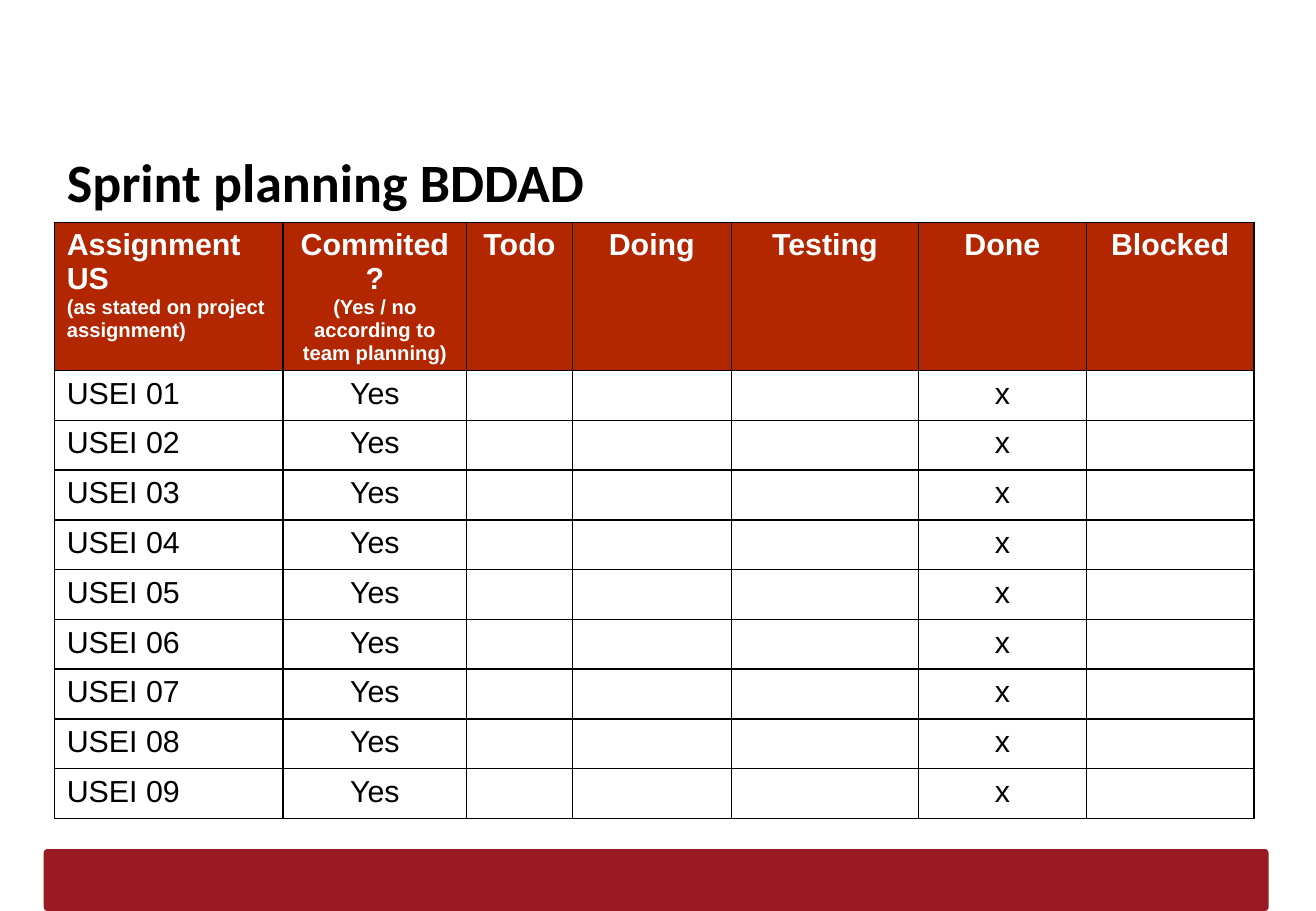
from lxml import etree
from pptx import Presentation
from pptx.dml.color import RGBColor
from pptx.enum.shapes import MSO_SHAPE
from pptx.enum.text import MSO_ANCHOR, MSO_AUTO_SIZE, PP_ALIGN
from pptx.oxml.ns import qn
from pptx.util import Inches, Pt

LEFT, CENTER = PP_ALIGN.LEFT, PP_ALIGN.CENTER
TOP = MSO_ANCHOR.TOP
NO_FIT = MSO_AUTO_SIZE.NONE
ROUNDED = MSO_SHAPE.ROUNDED_RECTANGLE

COLORS = {"header": "B22600", "bar": "9A1A24", "white": "FFFFFF", "black": "000000"}

COL_WIDTHS = [1.88, 1.51, 0.87, 1.31, 1.54, 1.38, 1.38]
ROW_HEIGHT = 0.41
HEADERS = [
    ["Assignment US", "(as stated on project assignment)"],
    ["Commited?", "(Yes / no according to team planning)"],
    ["Todo"], ["Doing"], ["Testing"], ["Done"], ["Blocked"],
]
STORIES = [[f"USEI {n:02d}", "Yes", "", "", "", "x", ""] for n in range(1, 10)]


def rgb(name):
    return RGBColor.from_string(COLORS[name])


def fill(obj, name):
    obj.fill.solid()
    obj.fill.fore_color.rgb = rgb(name)


def write(p, text, color, align=LEFT, **font):
    p.alignment = align
    r = p.add_run()
    r.text = text
    r.font.color.rgb = rgb(color)
    for name, value in font.items():
        setattr(r.font, name, value)


def add_border(cell):
    tc_pr = cell._tc.get_or_add_tcPr()
    for i, side in enumerate(("lnL", "lnR", "lnT", "lnB")):
        ln = etree.Element(qn(f"a:{side}"), w=str(Pt(1)))
        solid = etree.SubElement(ln, qn("a:solidFill"))
        etree.SubElement(solid, qn("a:srgbClr"), val=COLORS["black"])
        tc_pr.insert(i, ln)


def add_title(slide, x, y, w, h):
    sp = slide.shapes.title
    sp.left, sp.top, sp.width, sp.height = map(Inches, (x, y, w, h))
    tf = sp.text_frame
    settings = {
        "word_wrap": True, "auto_size": NO_FIT, "vertical_anchor": TOP,
        "margin_left": Inches(0.1), "margin_right": Inches(0.1),
        "margin_top": Inches(0.13), "margin_bottom": Inches(0.1),
    }
    for name, value in settings.items():
        setattr(tf, name, value)
    write(tf.paragraphs[0], "Sprint planning BDDAD", "black",
          name="Calibri", size=Pt(32), bold=True)


def add_footer_bar(slide, x, y, w, h):
    sp = slide.shapes.add_shape(ROUNDED, *map(Inches, (x, y, w, h)))
    sp.adjustments[0] = 0.06
    sp.shadow.inherit = False
    fill(sp, "bar")
    sp.line.fill.background()


def add_planning_table(slide, x, y):
    rows = [HEADERS] + [[[text] for text in story] for story in STORIES]
    w, h = sum(COL_WIDTHS), ROW_HEIGHT * len(rows)
    table = slide.shapes.add_table(
        len(rows), len(COL_WIDTHS), *map(Inches, (x, y, w, h))).table
    table.horz_banding = False
    for col, width in zip(table.columns, COL_WIDTHS):
        col.width = Inches(width)
    for i, row in enumerate(rows):
        table.rows[i].height = Inches(ROW_HEIGHT)
        header = i == 0
        for j, lines in enumerate(row):
            cell = table.cell(i, j)
            fill(cell, "header" if header else "white")
            add_border(cell)
            tf = cell.text_frame
            for k, text in enumerate(lines):
                p = tf.add_paragraph() if k else tf.paragraphs[0]
                if text:
                    write(p, text, "white" if header else "black",
                          CENTER if j else LEFT, name="Arial",
                          size=Pt(12 if k else 18), bold=header)


def build_sprint_slide(prs):
    slide = prs.slides.add_slide(prs.slide_layouts[5])
    add_footer_bar(slide, 0.36, 6.99, 10.08, 0.51)
    add_title(slide, 0.45, 1.09, 10.08, 0.63)
    add_planning_table(slide, 0.45, 1.83)


def main():
    prs = Presentation()
    prs.slide_width, prs.slide_height = Inches(10.83), Inches(7.5)
    build_sprint_slide(prs)
    prs.save("out.pptx")


if __name__ == "__main__":
    main()
